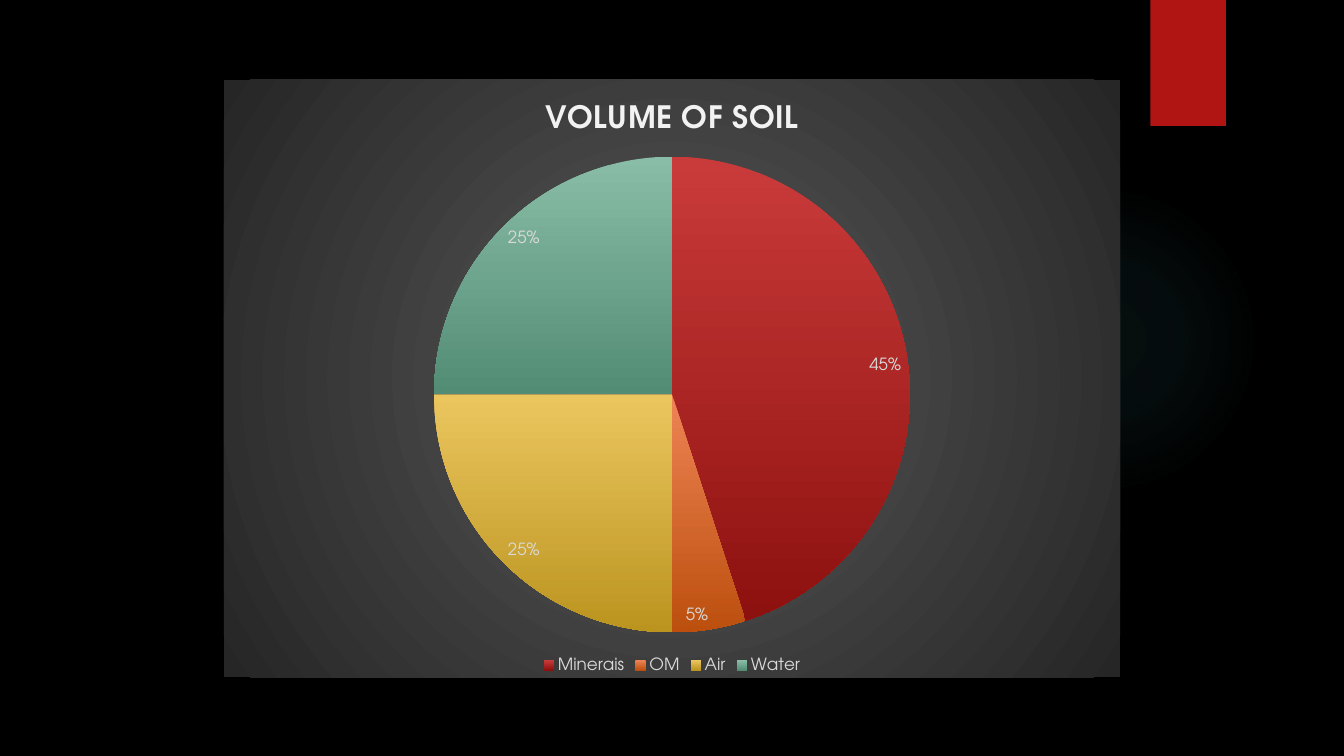
from lxml.etree import SubElement
from pptx import Presentation
from pptx.chart.data import CategoryChartData
from pptx.dml.color import RGBColor
from pptx.enum.chart import XL_CHART_TYPE, XL_LABEL_POSITION, XL_LEGEND_POSITION
from pptx.enum.shapes import MSO_SHAPE
from pptx.oxml import parse_xml
from pptx.oxml.ns import nsdecls, qn
from pptx.util import Inches, Pt

FONT = "TeX Gyre Adventor"
TITLE = "VOLUME OF SOIL"
SERIES = "Series 1"
SOIL = [
    ("Minerais", 45, "C93B3A", "8D110F"),
    ("OM", 5, "EE8455", "BC4F0E"),
    ("Air", 25, "EBC65F", "BB941F"),
    ("Water", 25, "89BDA7", "538C74"),
]
GLOW_STOPS = [(0, "50B9C1", 7), (36, "50B9C1", 6), (69, "50B9C1", 0)]
PANEL_STOPS = [(0, "595959", 100), (100, "262626", 100)]


def color(value):
    return RGBColor.from_string(value)


def gradient(stops, radial=False):
    marks = "".join(
        f'<a:gs pos="{position * 1000}"><a:srgbClr val="{value}">'
        f'<a:alpha val="{alpha * 1000}"/></a:srgbClr></a:gs>'
        for position, value, alpha in stops
    )
    if radial:
        direction = ('<a:path path="circle"><a:fillToRect l="50000" t="50000" '
                     'r="50000" b="50000"/></a:path>')
    else:
        direction = '<a:lin ang="5400000" scaled="0"/>'
    return parse_xml(f'<a:gradFill {nsdecls("a")} rotWithShape="1">'
                     f'<a:gsLst>{marks}</a:gsLst>{direction}</a:gradFill>')


def set_gradient(formatted, properties, stops, radial=False):
    formatted.fill.solid()
    solid = properties.find(qn("a:solidFill"))
    properties.replace(solid, gradient(stops, radial))


def set_font(font, size, value, bold=False):
    font.name = FONT
    font.size = Pt(size)
    font.bold = bold
    font.color.rgb = color(value)


def add_plain_shape(slide, kind, *bounds):
    shape = slide.shapes.add_shape(kind, *map(Inches, bounds))
    shape.line.fill.background()
    shape.shadow.inherit = False
    return shape


def add_decoration(slide):
    glow = add_plain_shape(slide, MSO_SHAPE.OVAL, 9.41, 1.83, 3.08, 3.08)
    set_gradient(glow, glow._element.spPr, GLOW_STOPS, radial=True)
    ribbon = add_plain_shape(slide, MSO_SHAPE.RECTANGLE, 11.41, 0, 0.75, 1.25)
    ribbon.fill.solid()
    ribbon.fill.fore_color.rgb = color("B01513")
    effects = ribbon._element.spPr.find(qn("a:effectLst"))
    shadow = SubElement(effects, qn("a:outerShdw"), blurRad=str(Pt(3)),
                        dist=str(Pt(2)), dir="5400000", rotWithShape="0")
    shade = SubElement(shadow, qn("a:srgbClr"), val="000000")
    SubElement(shade, qn("a:alpha"), val="45000")


def add_soil_chart(slide):
    data = CategoryChartData()
    data.categories = [name for name, *_ in SOIL]
    data.add_series(SERIES, [share for _, share, *_ in SOIL])
    bounds = map(Inches, (2.22, 0.79, 8.89, 5.93))
    chart = slide.shapes.add_chart(XL_CHART_TYPE.PIE, *bounds, data).chart
    set_font(chart.font, 10, "FFFFFF")

    space = chart._chartSpace
    panel = parse_xml(f'<c:spPr {nsdecls("c", "a")}><a:ln><a:noFill/></a:ln></c:spPr>')
    panel.insert(0, gradient(PANEL_STOPS, radial=True))
    space.find(qn("c:chart")).addnext(panel)

    chart.has_title = True
    chart.chart_title.include_in_layout = False
    para = chart.chart_title.text_frame.paragraphs[0]
    span = para.add_run()
    span.text = TITLE
    set_font(span.font, 22, "F2F2F2", bold=True)
    span.font._element.set("spc", "50")

    chart.has_legend = True
    chart.legend.position = XL_LEGEND_POSITION.BOTTOM
    chart.legend.include_in_layout = False
    set_font(chart.legend.font, 12, "D9D9D9")

    plot = chart.plots[0]
    plot.vary_by_categories = True
    plot.has_data_labels = True
    labels = plot.data_labels
    labels.show_percentage = True
    labels.show_value = False
    labels.number_format = "0%"
    labels.number_format_is_linked = False
    labels.position = XL_LABEL_POSITION.INSIDE_END
    set_font(labels.font, 12, "D9D9D9")

    for index, (_, _, light, dark) in enumerate(SOIL):
        wedge = plot.series[0].points[index].format
        wedge.line.fill.background()
        properties = plot.series[0]._element.findall(qn("c:dPt"))[index].find(qn("c:spPr"))
        set_gradient(wedge, properties, [(0, light, 100), (100, dark, 100)])


def main():
    deck = Presentation()
    deck.slide_width = Inches(13.33)
    deck.slide_height = Inches(7.5)
    slide = deck.slides.add_slide(deck.slide_layouts[6])
    slide.background.fill.solid()
    slide.background.fill.fore_color.rgb = color("000000")
    add_decoration(slide)
    add_soil_chart(slide)
    deck.save("out.pptx")


if __name__ == "__main__":
    main()
